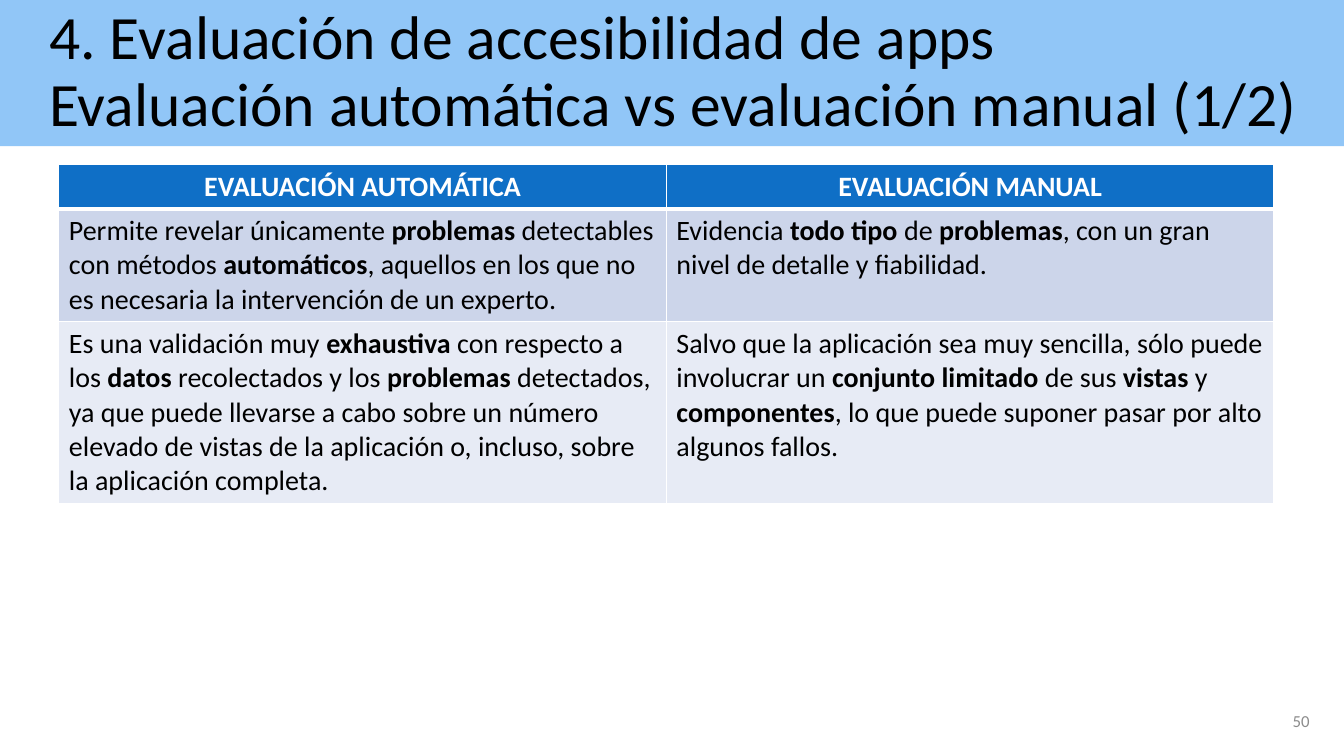
from dataclasses import dataclass

from lxml.etree import SubElement
from pptx import Presentation
from pptx.dml.color import RGBColor
from pptx.enum.text import MSO_ANCHOR as Anchor
from pptx.enum.text import MSO_AUTO_SIZE as AutoSize
from pptx.enum.text import PP_ALIGN as Align
from pptx.oxml.ns import qn
from pptx.util import Pt


@dataclass(frozen=True)
class Theme:
    font: str = "Calibri"
    title_size: float = 44
    table_size: float = 20
    number_size: float = 12
    black: str = "000000"
    white: str = "FFFFFF"
    gray: str = "8C8C8C"
    band: str = "91C6F7"
    header: str = "0F6FC6"
    dark_row: str = "CCD5EA"
    light_row: str = "E7EBF5"


@dataclass(frozen=True)
class Row:
    height: float
    fill: str
    cells: tuple[str, str]
    is_header: bool = False


THEME = Theme()

TITLE = (
    "4. Evaluación de accesibilidad de apps\v"
    "Evaluación automática vs evaluación manual (1/2)"
)

# Bold passages stand between double asterisks
ROWS = (
    Row(31.6, THEME.header, ("**EVALUACIÓN AUTOMÁTICA**", "**EVALUACIÓN MANUAL**"), True),
    Row(80.4, THEME.dark_row, (
        "Permite revelar únicamente **problemas** detectables con métodos "
        "**automáticos**, aquellos en los que no es necesaria la intervención "
        "de un experto.",
        "Evidencia **todo tipo **de **problemas**, con un gran nivel de detalle "
        "y fiabilidad.",
    )),
    Row(129.2, THEME.light_row, (
        "Es una validación muy **exhaustiva** con respecto a los **datos** "
        "recolectados y los **problemas** detectados, ya que puede llevarse a cabo "
        "sobre un número elevado de vistas de la aplicación o, incluso, sobre\n"
        "la aplicación completa.",
        "Salvo que la aplicación sea muy sencilla, sólo puede involucrar un "
        "**conjunto limitado** de sus **vistas** y **componentes**, lo que puede "
        "suponer pasar por alto algunos fallos.",
    )),
)


def write_text(frame, text: str, *, size: float, color: str,
               align: Align = Align.LEFT, line_spacing: float = 1.0) -> None:
    """Fill a text frame; \\n starts a paragraph, \\v breaks a line."""
    for index, paragraph_text in enumerate(text.split("\n")):
        paragraph = frame.add_paragraph() if index else frame.paragraphs[0]
        paragraph.alignment = align
        paragraph.line_spacing = line_spacing
        for line_index, line in enumerate(paragraph_text.split("\v")):
            if line_index:
                paragraph.add_line_break()
            for part_index, part in enumerate(line.split("**")):
                if not part:
                    continue
                run = paragraph.add_run()
                run.text = part
                run.font.name = THEME.font
                run.font.size = Pt(size)
                run.font.bold = part_index % 2 == 1
                run.font.color.rgb = RGBColor.from_string(color)


def place(shape, left: float, top: float, width: float, height: float) -> None:
    shape.left, shape.top = Pt(left), Pt(top)
    shape.width, shape.height = Pt(width), Pt(height)


def set_borders(cell, is_header: bool) -> None:
    properties = cell._tc.get_or_add_tcPr()
    for side in ("lnL", "lnR", "lnT", "lnB"):
        width = 3 if is_header and side == "lnB" else 1
        line = SubElement(properties, qn(f"a:{side}"), w=str(Pt(width)))
        fill = SubElement(line, qn("a:solidFill"))
        SubElement(fill, qn("a:srgbClr"), val=THEME.white)


def add_title(slide) -> None:
    title = slide.shapes.title
    place(title, 0, 0, 960, 104.4)
    title.fill.solid()
    title.fill.fore_color.rgb = RGBColor.from_string(THEME.band)
    frame = title.text_frame
    frame.word_wrap = True
    frame.auto_size = AutoSize.NONE
    frame.vertical_anchor = Anchor.MIDDLE
    write_text(frame, TITLE, size=THEME.title_size, color=THEME.black, line_spacing=0.9)
    frame.paragraphs[0]._p.get_or_add_pPr().set("marL", str(Pt(28)))


def add_comparison(slide, rows: tuple[Row, ...]) -> None:
    height = sum(row.height for row in rows)
    table = slide.shapes.add_table(
        len(rows), 2, Pt(42), Pt(117.4), Pt(868), Pt(height)).table
    for row_index, row in enumerate(rows):
        table.rows[row_index].height = Pt(row.height)
        for column_index, text in enumerate(row.cells):
            cell = table.cell(row_index, column_index)
            set_borders(cell, row.is_header)
            cell.fill.solid()
            cell.fill.fore_color.rgb = RGBColor.from_string(row.fill)
            write_text(cell.text_frame, text, size=THEME.table_size,
                       color=THEME.white if row.is_header else THEME.black,
                       align=Align.CENTER if row.is_header else Align.LEFT)


def add_slide_number(slide, number: str) -> None:
    box = slide.shapes.add_textbox(Pt(726.5), Pt(500.5), Pt(216), Pt(28.8))
    frame = box.text_frame
    frame.word_wrap = True
    frame.vertical_anchor = Anchor.MIDDLE
    write_text(frame, number, size=THEME.number_size, color=THEME.gray, align=Align.RIGHT)


def main() -> None:
    presentation = Presentation()
    presentation.slide_width, presentation.slide_height = Pt(960), Pt(540)
    slide = presentation.slides.add_slide(presentation.slide_layouts.get_by_name("Title Only"))
    add_title(slide)
    add_comparison(slide, ROWS)
    add_slide_number(slide, "50")
    presentation.save("out.pptx")


if __name__ == "__main__":
    main()
